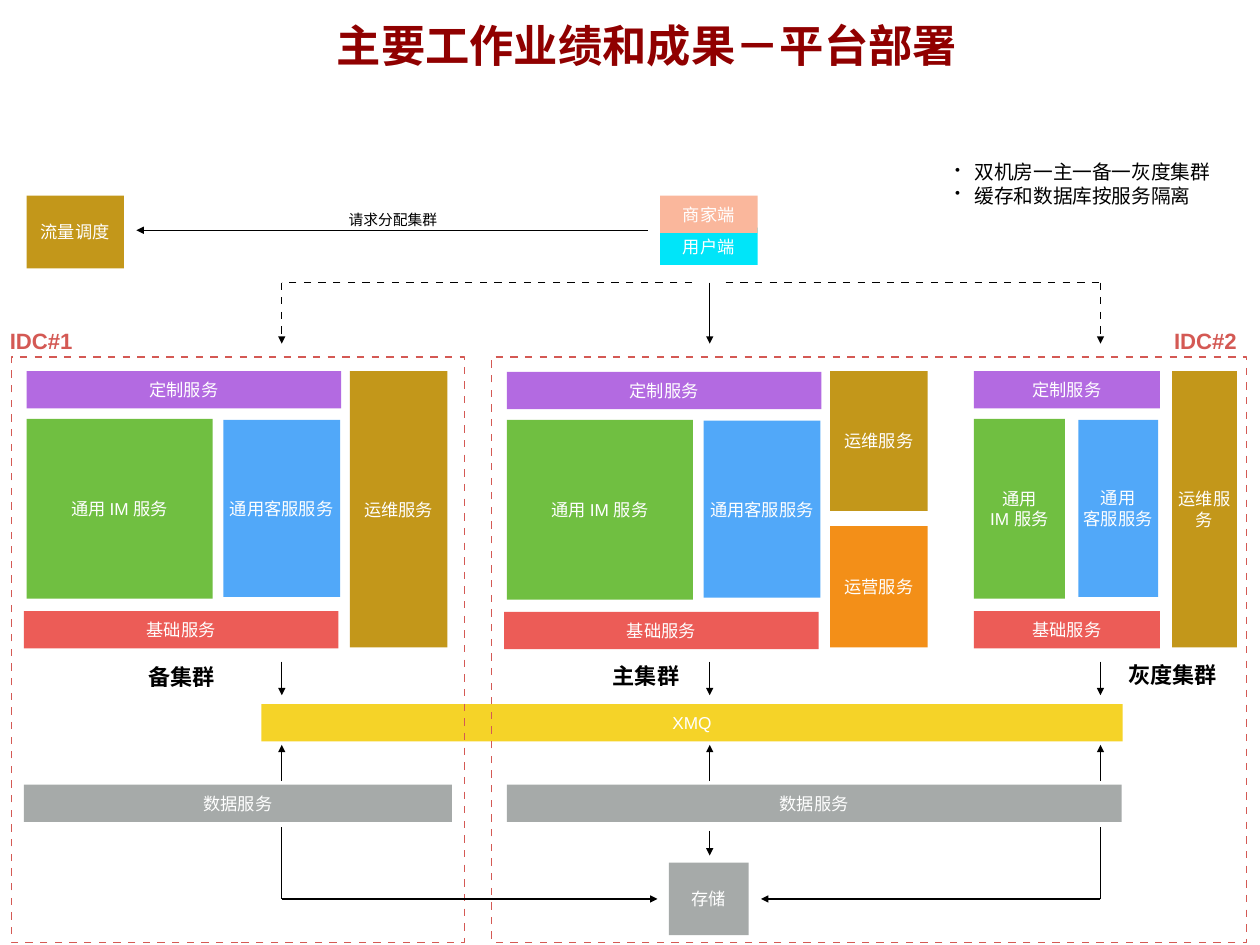
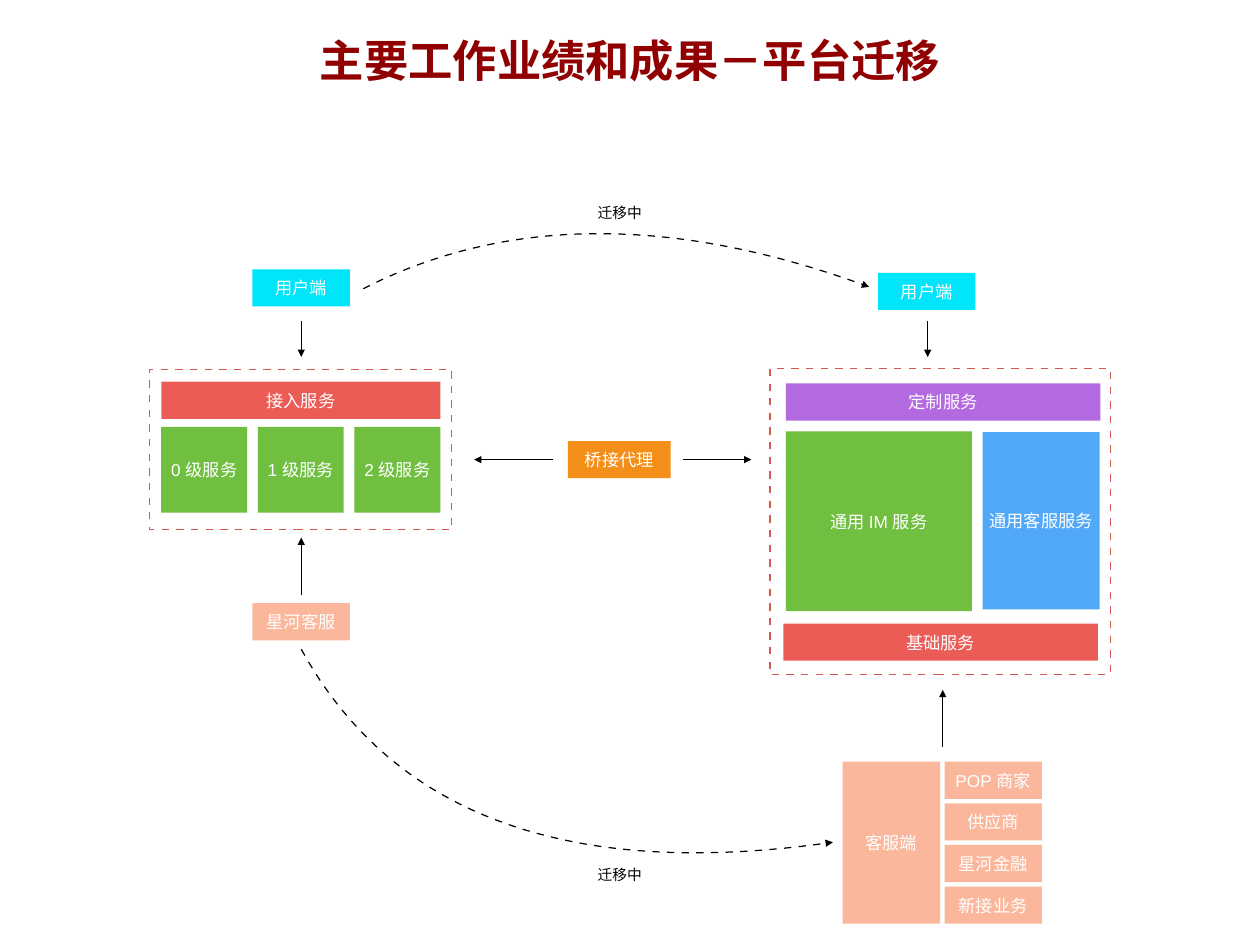
"""Build two slides on platform deployment and platform migration."""
from lxml import etree
from pptx import Presentation
from pptx.dml.color import RGBColor
from pptx.enum.shapes import MSO_CONNECTOR, MSO_SHAPE
from pptx.enum.text import MSO_ANCHOR, MSO_AUTO_SIZE, PP_ALIGN
from pptx.oxml.ns import qn
from pptx.util import Inches, Pt

RECTANGLE = MSO_SHAPE.RECTANGLE
STRAIGHT = MSO_CONNECTOR.STRAIGHT
CENTER, LEFT = PP_ALIGN.CENTER, PP_ALIGN.LEFT
TOP, MIDDLE = MSO_ANCHOR.TOP, MSO_ANCHOR.MIDDLE
NO_AUTOFIT = MSO_AUTO_SIZE.NONE

LATIN, CJK = "Arial", "Noto Sans CJK SC"
COLORS = {
    "title": "900000", "black": "000000", "white": "FFFFFF", "frame": "D45954",
    "custom": "B36AE1", "im": "70BF41", "support": "51A8F9", "base": "EC5C57",
    "ops": "C3971A", "business": "F38F18", "queue": "F5D328", "data": "A6AAA9",
    "user": "00E5F9", "merchant": "FAB79C",
}
BAR = 0.42
NODE = 1.1
CURVE_STEPS = 48


def rgb(color):
    """Return the named colour."""
    return RGBColor.from_string(COLORS[color])


def write(frame, lines, size, color, bold=False, latin=LATIN, align=CENTER, anchor=MIDDLE):
    """Fill a text frame with one paragraph per line."""
    frame.margin_left = frame.margin_right = Inches(0.06)
    frame.margin_top = frame.margin_bottom = Inches(0.06)
    frame.vertical_anchor = anchor
    for index, line in enumerate(lines):
        paragraph = frame.add_paragraph() if index else frame.paragraphs[0]
        paragraph.alignment = align
        run = paragraph.add_run()
        run.text = line
        font = run.font
        font.size, font.bold, font.name = Pt(size), bold, latin
        font.color.rgb = rgb(color)
        etree.SubElement(run._r.get_or_add_rPr(), qn("a:ea"), typeface=CJK)


def add_titled_slide(deck, title, left, top):
    """Add a title-only slide with its title placed and styled."""
    slide = deck.slides.add_slide(deck.slide_layouts[5])
    heading = slide.shapes.title
    heading.left, heading.top = Inches(left), Inches(top)
    heading.width, heading.height = Inches(9.26), Inches(0.82)
    heading.text_frame.auto_size = NO_AUTOFIT
    write(heading.text_frame, [title], 36, "title", True, CJK, anchor=TOP)
    return slide


def add_block(slide, color, left, top, width, height, *lines):
    """Add a filled rectangle with a white label."""
    block = slide.shapes.add_shape(
        RECTANGLE, Inches(left), Inches(top), Inches(width), Inches(height))
    block.shadow.inherit = False
    block.fill.solid()
    block.fill.fore_color.rgb = rgb(color)
    block.line.fill.background()
    block.text_frame.word_wrap = True
    write(block.text_frame, lines, 14, "white")


def add_label(slide, left, top, width, height, lines, size, color="black", bold=False,
              align=CENTER):
    """Add an unwrapped text label and return it."""
    label = slide.shapes.add_textbox(
        Inches(left), Inches(top), Inches(width), Inches(height))
    label.text_frame.word_wrap = False
    write(label.text_frame, lines, size, color, bold, align=align)
    return label


def add_bullets(slide, left, top, width, height, lines):
    """Add a bulleted list."""
    notes = add_label(slide, left, top, width, height, lines, 16, align=LEFT)
    for paragraph in notes.text_frame.paragraphs:
        properties = paragraph._p.get_or_add_pPr()
        properties.set("marL", str(Inches(0.22)))
        properties.set("indent", str(-Inches(0.22)))
        etree.SubElement(properties, qn("a:buSzPct"), val="75000")
        etree.SubElement(properties, qn("a:buChar"), char="•")


def style_line(line, color="black", dashed=False, arrow=False):
    """Give a line its colour, dashes and arrowhead."""
    line.color.rgb = rgb(color)
    line.width = Pt(1)
    outline = line._get_or_add_ln()
    if dashed:
        pattern = etree.SubElement(outline, qn("a:custDash"))
        etree.SubElement(pattern, qn("a:ds"), d="600000", sp="600000")
    if arrow:
        etree.SubElement(outline, qn("a:tailEnd"), type="triangle")


def add_frame(slide, left, top, width, height):
    """Add a dashed, unfilled boundary."""
    frame = slide.shapes.add_shape(
        RECTANGLE, Inches(left), Inches(top), Inches(width), Inches(height))
    frame.shadow.inherit = False
    frame.fill.background()
    style_line(frame.line, "frame", dashed=True)


def add_link(slide, x1, y1, x2, y2, dashed=False, arrow=True):
    """Add a straight line, by default with an arrowhead at its end."""
    link = slide.shapes.add_connector(
        STRAIGHT, Inches(x1), Inches(y1), Inches(x2), Inches(y2))
    style_line(link.line, dashed=dashed, arrow=arrow)
    etree.SubElement(link._element.spPr, qn("a:effectLst"))


def add_curve(slide, *controls):
    """Add a dashed arrow along a cubic Bezier curve with four control points."""
    points = []
    for step in range(CURVE_STEPS + 1):
        t = step / CURVE_STEPS
        weights = ((1 - t) ** 3, 3 * t * (1 - t) ** 2, 3 * t * t * (1 - t), t ** 3)
        points.append(tuple(
            Inches(sum(w * point[axis] for w, point in zip(weights, controls)))
            for axis in (0, 1)))
    builder = slide.shapes.build_freeform(*points[0])
    builder.add_line_segments(points[1:], close=False)
    curve = builder.convert_to_shape()
    curve.shadow.inherit = False
    curve.fill.background()
    style_line(curve.line, dashed=True, arrow=True)


def add_cluster(slide, left, top, width=3.55, im_width=2.1, support_left=2.22,
                support_width=1.32, base_shift=-0.03,
                im=("通用 IM 服务",), support=("通用客服服务",)):
    """Add the custom, IM, support and base services of one cluster."""
    add_block(slide, "custom", left, top, width, BAR, "定制服务")
    add_block(slide, "im", left, top + 0.54, im_width, 2.03, *im)
    add_block(slide, "support", left + support_left, top + 0.55, support_width, 2, *support)
    add_block(slide, "base", left + base_shift, top + 2.71, width, BAR, "基础服务")


def build_deployment(deck):
    """Build the platform deployment slide."""
    slide = add_titled_slide(deck, "主要工作业绩和成果－平台部署", 2.67, 0.15)
    backup_x, main_x, gray_x = 3.18, 8.01, 12.42

    add_block(slide, "queue", 2.95, 7.95, 9.72, BAR, "XMQ")
    add_frame(slide, 0.13, 4.03, 5.11, 6.61)
    add_frame(slide, 5.55, 4.03, 8.52, 6.61)

    add_cluster(slide, 0.3, 4.19)
    add_cluster(slide, 5.72, 4.2)
    add_cluster(slide, 10.99, 4.19, 2.1, 1.03, 1.18, 0.9, 0,
                ("通用", "IM 服务"), ("通用", "客服服务"))
    for left, width, height in ((3.95, NODE, 3.12), (9.37, NODE, 1.58), (13.23, 0.73, 3.12)):
        add_block(slide, "ops", left, 4.19, width, height, "运维服务")
    add_block(slide, "business", 9.37, 5.94, NODE, 1.37, "运营服务")

    add_block(slide, "ops", 0.3, 2.21, NODE, 0.82, "流量调度")
    add_block(slide, "user", 7.45, 2.57, NODE, BAR, "用户端")
    add_block(slide, "merchant", 7.45, 2.21, NODE, BAR, "商家端")
    add_block(slide, "data", 0.27, 8.86, 4.83, BAR, "数据服务")
    add_block(slide, "data", 5.72, 8.86, 6.94, BAR, "数据服务")
    add_block(slide, "data", 7.55, 9.74, 0.9, 0.82, "存储")

    add_link(slide, 7.31, 2.6, 1.54, 2.6)
    for x in (backup_x, main_x, gray_x):
        add_link(slide, x, 3.19, x, 3.88, dashed=x != main_x)
        add_link(slide, x, 7.47, x, 7.85)
        add_link(slide, x, 8.82, x, 8.41)
    for x, request_x, storage_x in ((backup_x, 7.81, 7.42), (gray_x, 8.19, 8.59)):
        add_link(slide, request_x, 3.19, x, 3.19, dashed=True, arrow=False)
        add_link(slide, x, 9.34, x, 10.15, arrow=False)
        add_link(slide, x, 10.15, storage_x, 10.15)
    add_link(slide, main_x, 9.38, main_x, 9.66)

    add_label(slide, 3.87, 2.3, 1.13, 0.35, ["请求分配集群"], 12)
    for room, left in (("IDC#1", 0.05), ("IDC#2", 13.19)):
        add_label(slide, left, 3.64, 0.83, BAR, [room], 18, "frame", True)
    for cluster, left, top, width in (
            ("备集群", 1.61, 7.41, 0.88), ("主集群", 6.85, 7.4, 0.88),
            ("灰度集群", 12.67, 7.39, 1.13)):
        add_label(slide, left, top, width, 0.46, [cluster], 18, bold=True)
    add_bullets(slide, 10.72, 1.71, 3.07, 0.72,
                ["双机房一主一备一灰度集群", "缓存和数据库按服务隔离"])


def build_migration(deck):
    """Build the platform migration slide."""
    slide = add_titled_slide(deck, "主要工作业绩和成果－平台迁移", 2.48, 0.31)
    old_x, new_x, client_x = 3.4, 10.47, 10.64

    add_frame(slide, 1.69, 4.17, 3.41, 1.81)
    add_block(slide, "base", 1.82, 4.31, 3.15, BAR, "接入服务")
    for level in range(3):
        add_block(slide, "im", 1.82 + 1.09 * level, 4.82, 0.97, 0.97, f"{level} 级服务")

    add_frame(slide, 8.69, 4.16, 3.84, 3.46)
    add_cluster(slide, 8.87, 4.33)

    add_block(slide, "business", 6.41, 4.98, 1.16, BAR, "桥接代理")
    add_block(slide, "user", 2.85, 3.04, NODE, BAR, "用户端")
    add_block(slide, "user", 9.91, 3.08, NODE, BAR, "用户端")
    add_block(slide, "merchant", 2.85, 6.81, NODE, BAR, "星河客服")
    add_block(slide, "merchant", 9.51, 8.6, NODE, 1.83, "客服端")
    for row, client in enumerate(("POP 商家", "供应商", "星河金融", "新接业务")):
        add_block(slide, "merchant", 10.66, 8.6 + 0.47 * row, NODE, BAR, client)

    add_link(slide, 6.24, 5.19, 5.35, 5.19)
    add_link(slide, 7.71, 5.19, 8.48, 5.19)
    for x in (old_x, new_x):
        add_link(slide, x, 3.62, x, 4.03)
    add_link(slide, old_x, 6.72, old_x, 6.07)
    add_link(slide, client_x, 8.43, client_x, 7.79)

    add_curve(slide, (4.1, 3.26), (5.71, 2.44), (7.61, 2.43), (9.81, 3.24))
    add_curve(slide, (3.4, 7.33), (4.43, 9.21), (6.43, 9.94), (9.4, 9.51))
    for top in (2.22, 9.7):
        add_label(slide, 6.68, top, 0.63, 0.35, ["迁移中"], 12)


def main():
    """Build and save the deck."""
    deck = Presentation()
    deck.slide_width, deck.slide_height = Inches(14.22), Inches(10.67)
    build_deployment(deck)
    build_migration(deck)
    deck.save("out.pptx")


if __name__ == "__main__":
    main()
